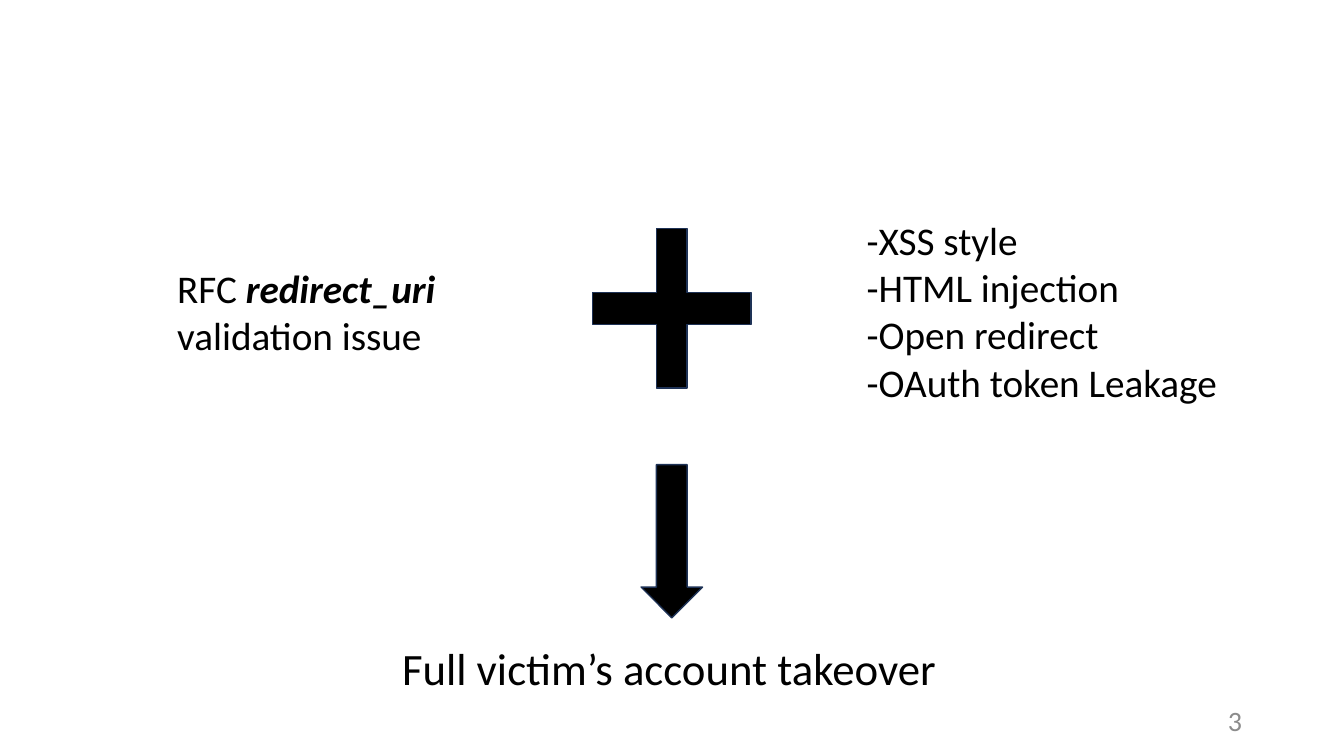
from pptx import Presentation
from pptx.dml.color import RGBColor
from pptx.enum import shapes, text
from pptx.util import Pt


def color(hex_code):
    return RGBColor.from_string(hex_code)


class Slide:
    font = "Calibri"
    ink = "000000"
    outline = "1E3256"

    def __init__(self, deck):
        self.slide = deck.slides.add_slide(deck.slide_layouts[6])

    def text(self, box, paragraphs, size, ink=ink, align=text.PP_ALIGN.LEFT,
             anchor=text.MSO_ANCHOR.TOP, wrap=True):
        """Add a text box; each paragraph is a list of (words, emphasised) runs."""
        frame = self.slide.shapes.add_textbox(*map(Pt, box)).text_frame
        frame.word_wrap = wrap
        frame.vertical_anchor = anchor
        for i, runs in enumerate(paragraphs):
            paragraph = frame.add_paragraph() if i else frame.paragraphs[0]
            paragraph.alignment = align
            for words, emphasised in runs:
                run = paragraph.add_run()
                run.text = words
                run.font.name = self.font
                run.font.size = Pt(size)
                run.font.color.rgb = color(ink)
                run.font.bold = run.font.italic = emphasised

    def symbol(self, kind, box, adjustment=0.5):
        symbol = self.slide.shapes.add_shape(kind, *map(Pt, box))
        symbol.adjustments[0] = adjustment
        symbol.shadow.inherit = False
        symbol.fill.solid()
        symbol.fill.fore_color.rgb = color(self.ink)
        symbol.line.color.rgb = color(self.outline)
        symbol.line.width = Pt(1)


def main():
    deck = Presentation()
    deck.slide_width, deck.slide_height = Pt(960), Pt(540)
    slide = Slide(deck)

    slide.text((859, 500.4, 35.3, 28.8), [[("3", False)]], 20, ink="8C8C8C",
               align=text.PP_ALIGN.RIGHT, anchor=text.MSO_ANCHOR.MIDDLE)
    weaknesses = ["-XSS style", "-HTML injection", "-Open redirect",
                  "-OAuth token Leakage"]
    slide.text((612, 151.2, 303.8, 143.3),
               [[(weakness, False)] for weakness in weaknesses], 28)
    slide.text((280.1, 454.3, 400.3, 46.1),
               [[("Full victim’s account takeover", False)]], 32, wrap=False)
    slide.symbol(shapes.MSO_SHAPE.CROSS, (423.4, 163.4, 113, 113.8), 0.403)
    slide.text((119.5, 185, 303.8, 74.9),
               [[("RFC ", False), ("redirect_uri ", True),
                 ("validation issue", False)]], 28)
    slide.symbol(shapes.MSO_SHAPE.DOWN_ARROW, (457.9, 331.9, 43.9, 109.4))

    deck.save("out.pptx")


if __name__ == "__main__":
    main()
